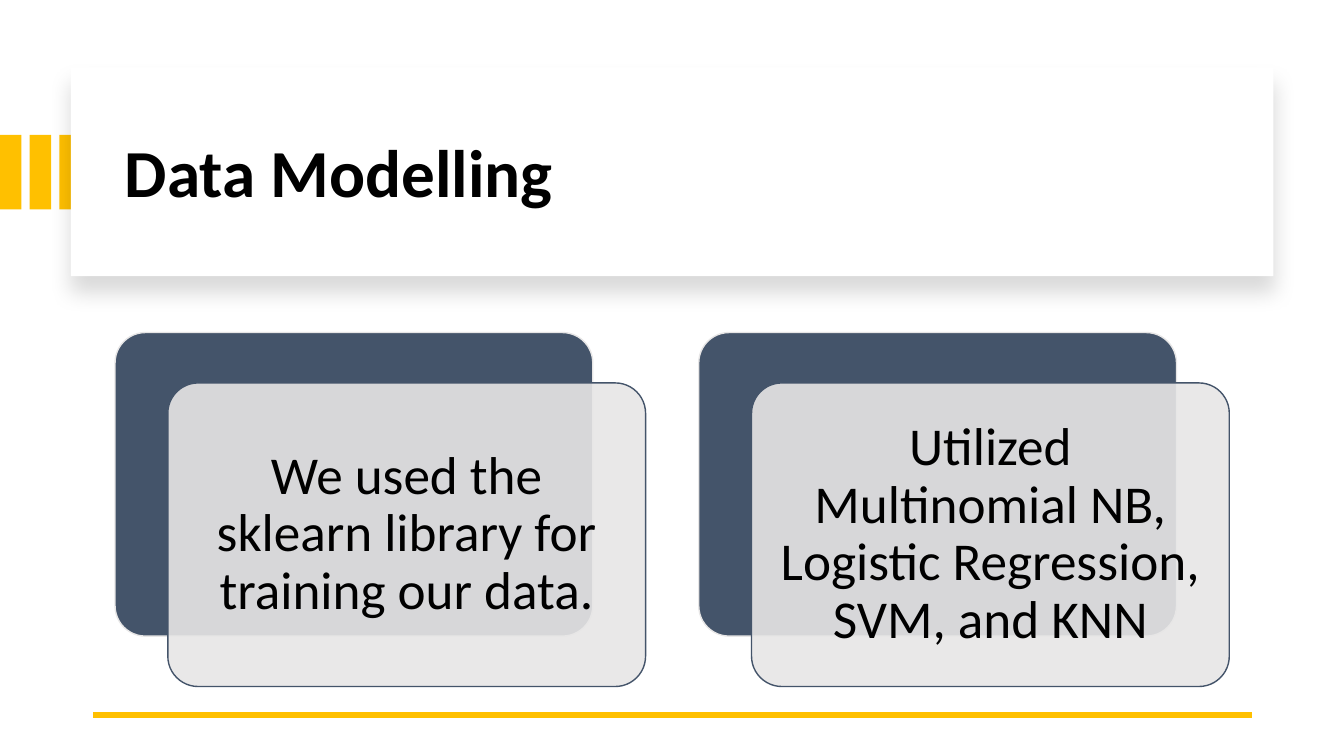
from lxml import etree
from pptx import Presentation
from pptx import util as u
from pptx.dml.color import RGBColor
from pptx.enum import shapes, text
from pptx.oxml import parse_xml
from pptx.oxml.ns import qn

Cm = u.Cm
RECT = shapes.MSO_SHAPE.RECTANGLE
ROUND = shapes.MSO_SHAPE.ROUNDED_RECTANGLE
GOLD, NAVY, GREY = "FFC000", "44546A", "E7E6E6"
rgb = RGBColor.from_string

deck = Presentation()
deck.slide_width, deck.slide_height = Cm(33.87), Cm(19.05)
slide = deck.slides.add_slide(deck.slide_layouts[5])


def block(x, y, w, h, fill, kind=RECT, line=None):
    box = slide.shapes.add_shape(kind, Cm(x), Cm(y), Cm(w), Cm(h))
    box.shadow.inherit = False
    box.fill.solid()
    box.fill.fore_color.rgb = rgb(fill)
    if line:
        box.adjustments[0] = 0.1
        box.line.color.rgb = rgb(line)
        box.line.width = u.Pt(1)
    else:
        box.line.fill.background()
    return box


def write(box, words, size, align, inset, bold=False):
    frame = box.text_frame
    frame.word_wrap = True
    frame.auto_size = text.MSO_AUTO_SIZE.NONE
    frame.vertical_anchor = text.MSO_ANCHOR.MIDDLE
    frame.margin_left = frame.margin_right = Cm(inset)
    frame.margin_top = frame.margin_bottom = Cm(inset)
    frame.text = words
    para = frame.paragraphs[0]
    para.alignment = align
    para.line_spacing = 0.9
    font = para.runs[0].font
    font.name, font.size, font.bold = "Calibri", u.Pt(size), bold
    font.color.rgb = rgb("000000")


# Gold bars at the left edge
for i in range(3):
    block(i * 0.75, 3.4, 0.54, 1.88, GOLD)

# White title panel with a soft shadow
panel = block(1.79, 1.7, 30.3, 5.26, "FFFFFF")
glow = panel._element.spPr.find(qn("a:effectLst"))
glow.append(parse_xml(
    '<a:outerShdw xmlns:a="http://schemas.openxmlformats.org/drawingml/2006/main" '
    'blurRad="190500" dist="139700" dir="5400000" algn="t" rotWithShape="0">'
    '<a:srgbClr val="000000"><a:alpha val="15000"/></a:srgbClr></a:outerShdw>'))

# Title, brought in front of the panel
title = slide.shapes.title
title.left, title.top = Cm(2.9), Cm(2.26)
title.width, title.height = Cm(28.27), Cm(4.32)
write(title, "Data Modelling", 48, text.PP_ALIGN.LEFT, 0.25, bold=True)
panel._element.addnext(title._element)

# Gold rule at the foot
rule = slide.shapes.add_connector(
    shapes.MSO_CONNECTOR.STRAIGHT, Cm(31.55), Cm(18.01), Cm(2.34), Cm(18.01))
rule.line.color.rgb = rgb(GOLD)
rule.line.width = u.Pt(4.5)
etree.SubElement(rule._element.spPr, qn("a:effectLst"))

# Cards: a dark back and a translucent front, set off to the lower right
cards = [
    "We used the sklearn library for training our data.",
    "Utilized Multinomial NB, Logistic Regression, SVM, and KNN",
]
for i, words in enumerate(cards):
    x = 2.9 + i * 14.71
    block(x, 8.38, 12.04, 7.65, NAVY, ROUND, GREY)
    front = block(x + 1.33, 9.65, 12.04, 7.65, GREY, ROUND, NAVY)
    tint = front._element.spPr.find(qn("a:solidFill"))[0]
    etree.SubElement(tint, qn("a:alpha"), val="90000")
    write(front, words, 38, text.PP_ALIGN.CENTER, 0.41)

deck.save("out.pptx")
